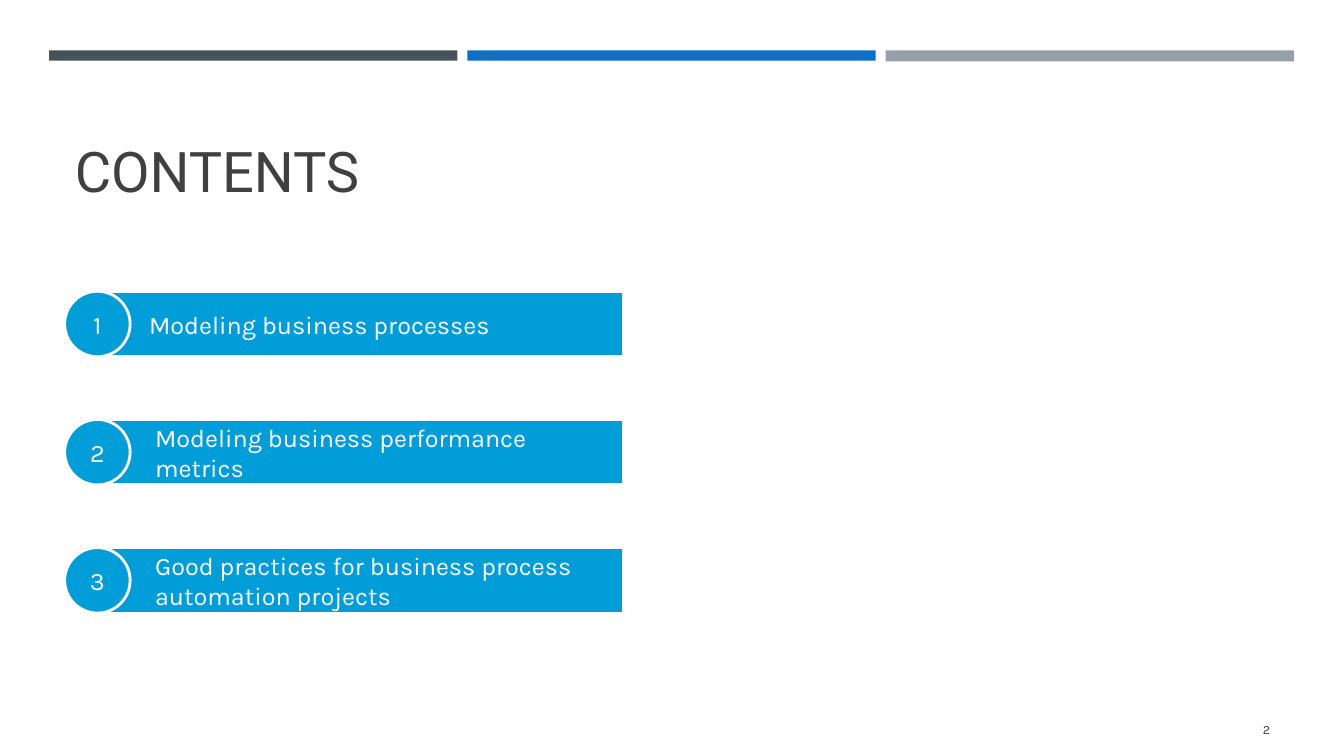
from dataclasses import dataclass

from pptx import Presentation
from pptx.dml.color import RGBColor
from pptx.enum.shapes import MSO_SHAPE
from pptx.enum.text import MSO_ANCHOR, MSO_AUTO_SIZE, PP_ALIGN
from pptx.shapes.autoshape import Shape
from pptx.slide import Slide
from pptx.util import Cm, Pt

RECTANGLE, OVAL = MSO_SHAPE.RECTANGLE, MSO_SHAPE.OVAL
MIDDLE, BOTTOM = MSO_ANCHOR.MIDDLE, MSO_ANCHOR.BOTTOM
LEFT, CENTER, RIGHT = PP_ALIGN.LEFT, PP_ALIGN.CENTER, PP_ALIGN.RIGHT
NO_AUTOFIT = MSO_AUTO_SIZE.NONE

COLORS = {
    "slate": "465359",
    "blue": "0F6FC6",
    "gray": "969FA7",
    "topic": "009DD9",
    "white": "FFFFFF",
    "text": "404040",
}
TITLE_FONT, BODY_FONT = "Roboto", "Karla"

STRIPE_LEFT, STRIPE_TOP, STRIPE_WIDTH, STRIPE_PITCH = 1.24, 1.27, 10.29, 10.54
TOPIC_TOP, TOPIC_PITCH, TOPIC_HEIGHT = 7.34, 3.23, 1.65
BAR_LEFT, BAR_WIDTH, BADGE_LEFT = 2.39, 13.31, 1.63


@dataclass
class Stripe:
    color: str
    height: float


@dataclass
class Topic:
    text: str
    inset: float


STRIPES = [Stripe("slate", 0.26), Stripe("blue", 0.26), Stripe("gray", 0.28)]
TOPICS = [
    Topic("Modeling business processes", 1.37),
    Topic("Modeling business performance metrics", 1.52),
    Topic("Good practices for business process automation projects", 1.52),
]


def rgb(color: str) -> RGBColor:
    return RGBColor.from_string(COLORS[color])


def add_filled_shape(slide: Slide, kind: MSO_SHAPE, left: float, top: float,
                     width: float, height: float, color: str) -> Shape:
    shape = slide.shapes.add_shape(kind, Cm(left), Cm(top), Cm(width), Cm(height))
    shape.shadow.inherit = False
    shape.fill.solid()
    shape.fill.fore_color.rgb = rgb(color)
    shape.line.fill.background()
    return shape


def write(shape: Shape, text: str, size: float, color: str, alignment: PP_ALIGN,
          anchor: MSO_ANCHOR = MIDDLE, font_name: str = BODY_FONT) -> None:
    frame = shape.text_frame
    frame.word_wrap = True
    frame.auto_size = NO_AUTOFIT
    frame.vertical_anchor = anchor
    paragraph = frame.paragraphs[0]
    paragraph.alignment = alignment
    run = paragraph.add_run()
    run.text = text
    run.font.name = font_name
    run.font.size = Pt(size)
    run.font.color.rgb = rgb(color)


def add_outlined_shape(slide: Slide, kind: MSO_SHAPE, left: float, top: float,
                       width: float) -> Shape:
    shape = add_filled_shape(slide, kind, left, top, width, TOPIC_HEIGHT, "topic")
    shape.line.color.rgb = rgb("white")
    shape.line.width = Pt(2)
    return shape


def add_topic(slide: Slide, number: int, topic: Topic) -> None:
    """Draw a topic bar with its numbered badge over the left end."""
    top = TOPIC_TOP + (number - 1) * TOPIC_PITCH
    bar = add_outlined_shape(slide, RECTANGLE, BAR_LEFT, top, BAR_WIDTH)
    bar.text_frame.margin_left = Cm(topic.inset)
    write(bar, topic.text, 18, "white", LEFT)
    badge = add_outlined_shape(slide, OVAL, BADGE_LEFT, top, TOPIC_HEIGHT)
    write(badge, str(number), 18, "white", CENTER)


def add_title(slide: Slide, text: str) -> None:
    title = slide.shapes.title
    title.left, title.top = Cm(1.63), Cm(1.96)
    title.width, title.height = Cm(30.63), Cm(3.3)
    write(title, text, 40, "text", LEFT, BOTTOM, TITLE_FONT)


def add_page_number(slide: Slide, number: int) -> None:
    box = slide.shapes.add_textbox(Cm(29.34), Cm(17.86), Cm(2.92), Cm(1.02))
    write(box, str(number), 9, "text", RIGHT)


def main() -> None:
    presentation = Presentation()
    presentation.slide_width, presentation.slide_height = Cm(33.87), Cm(19.05)
    slide = presentation.slides.add_slide(presentation.slide_layouts[5])

    for index, stripe in enumerate(STRIPES):
        add_filled_shape(slide, RECTANGLE, STRIPE_LEFT + index * STRIPE_PITCH,
                         STRIPE_TOP, STRIPE_WIDTH, stripe.height, stripe.color)
    add_title(slide, "CONTENTS")
    for number, topic in enumerate(TOPICS, start=1):
        add_topic(slide, number, topic)
    add_page_number(slide, 2)

    presentation.save("out.pptx")


if __name__ == "__main__":
    main()
